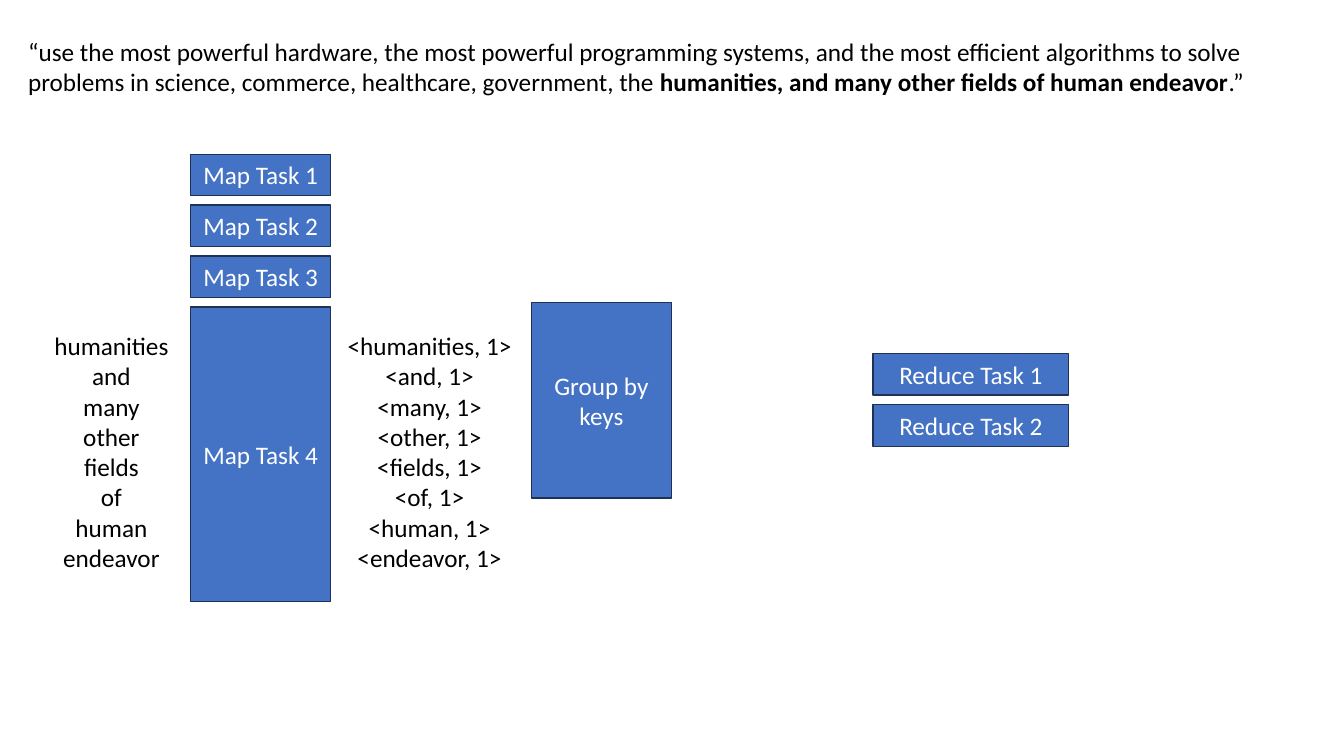
from pptx import Presentation
from pptx.dml.color import RGBColor
from pptx.enum.shapes import MSO_SHAPE
from pptx.enum.text import MSO_ANCHOR, MSO_AUTO_SIZE, PP_ALIGN
from pptx.util import Inches, Pt

BLUE = RGBColor(0x44, 0x72, 0xC4)
NAVY = RGBColor(0x1E, 0x32, 0x56)
WHITE = RGBColor(0xFF, 0xFF, 0xFF)
BLACK = RGBColor(0, 0, 0)

TASK_HEIGHT = 0.41
TASK_PITCH = 0.505
WORDS = ["humanities", "and", "many", "other", "fields", "of", "human", "endeavor"]
QUOTE = [
    ("“use the most powerful hardware, the most powerful programming systems, "
     "and the most efficient algorithms to solve problems in science, commerce, "
     "healthcare, government, the ", False),
    ("humanities, and many other fields of human endeavor", True),
    (".”", False),
]


def style(p, color, align):
    """Set the font and alignment of a paragraph."""
    p.alignment = align
    p.font.name = "Calibri"
    p.font.size = Pt(18)
    p.font.color.rgb = color


def add_text(s, box, paragraphs, align, wrap=True):
    """Add a text box; each paragraph is a list of (text, bold) runs."""
    tf = s.shapes.add_textbox(*map(Inches, box)).text_frame
    tf.word_wrap = wrap
    tf.auto_size = MSO_AUTO_SIZE.SHAPE_TO_FIT_TEXT
    for i, runs in enumerate(paragraphs):
        p = tf.add_paragraph() if i else tf.paragraphs[0]
        style(p, BLACK, align)
        for text, bold in runs:
            r = p.add_run()
            r.text = text
            if bold:
                r.font.bold = True


def add_block(s, box, label):
    """Add a labelled blue rectangle."""
    sp = s.shapes.add_shape(MSO_SHAPE.RECTANGLE, *map(Inches, box))
    sp.shadow.inherit = False
    sp.fill.solid()
    sp.fill.fore_color.rgb = BLUE
    sp.line.color.rgb = NAVY
    sp.line.width = Pt(1)
    tf = sp.text_frame
    tf.word_wrap = True
    tf.vertical_anchor = MSO_ANCHOR.MIDDLE
    p = tf.paragraphs[0]
    p.text = label
    style(p, WHITE, PP_ALIGN.CENTER)


def add_tasks(s, box, name, count):
    """Stack numbered tasks in a box; the last one fills the remaining height."""
    left, top, width, height = box
    for i in range(count):
        offset = i * TASK_PITCH
        h = TASK_HEIGHT if i < count - 1 else height - offset
        add_block(s, (left, top + offset, width, h), f"{name} Task {i + 1}")


def add_word_list(s, box, words, wrap=True):
    """Add a centred column with one word per line."""
    add_text(s, box, [[(word, False)] for word in words], PP_ALIGN.CENTER, wrap)


def build_slide(prs):
    """Lay out the word count flow from quote to reduce tasks."""
    s = prs.slides.add_slide(prs.slide_layouts[6])
    add_text(s, (0.18, 0.31, 12.82, 0.71), [QUOTE], PP_ALIGN.LEFT)
    add_tasks(s, (1.89, 1.53, 1.39, 4.44), "Map", 4)
    add_block(s, (5.27, 3, 1.39, 1.94), "Group by keys")
    add_tasks(s, (8.66, 3.51, 1.94, 0.92), "Reduce", 2)
    add_word_list(s, (0.43, 3.23, 1.35, 2.52), WORDS, wrap=False)
    add_word_list(s, (3.22, 3.23, 2.08, 2.52), [f"<{word}, 1>" for word in WORDS])


prs = Presentation()
prs.slide_width = Inches(13.33)
prs.slide_height = Inches(7.5)
build_slide(prs)
prs.save("out.pptx")
